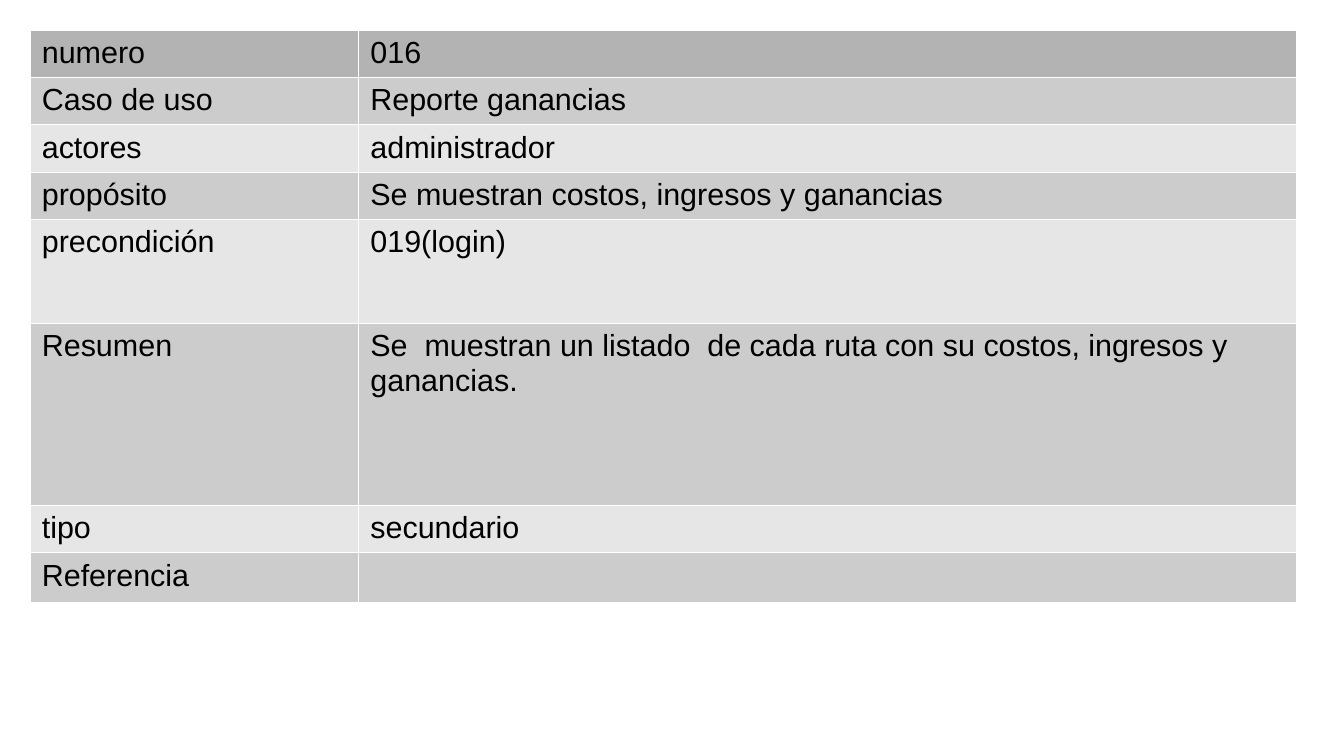
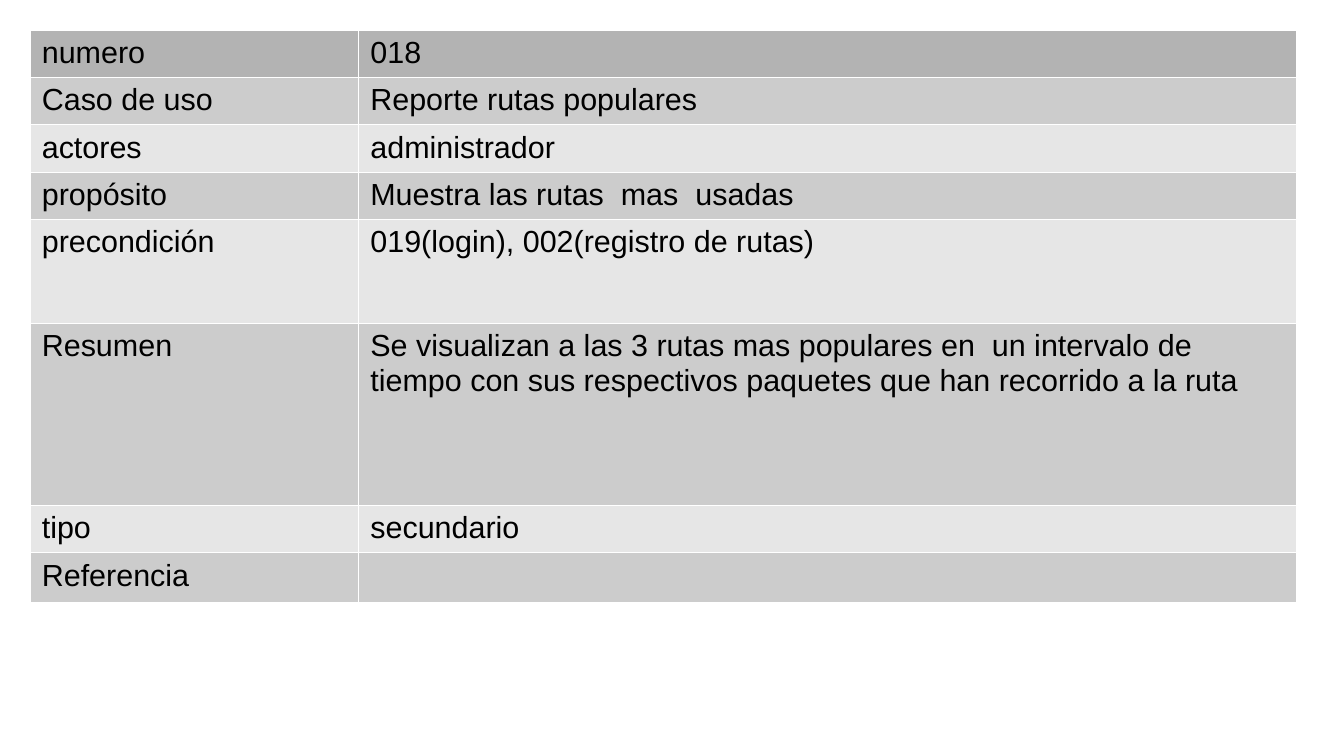
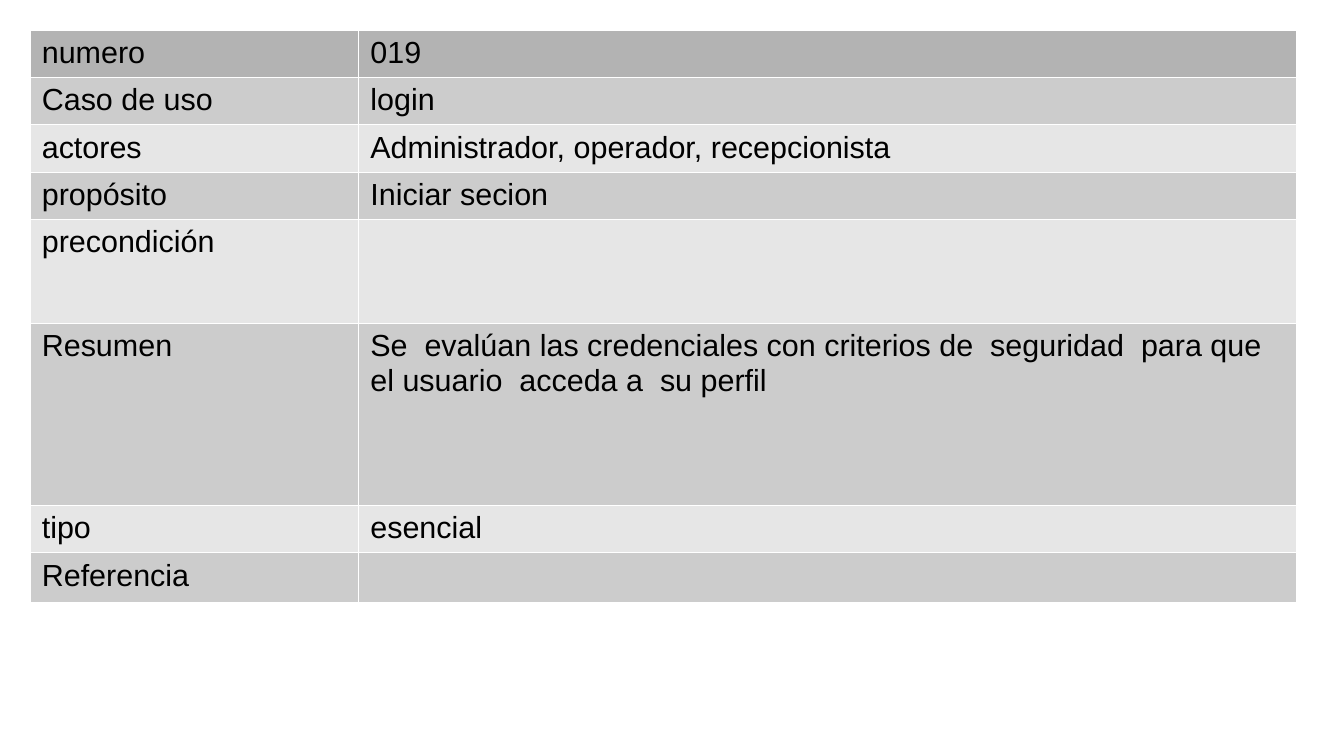
import dataclasses

import lxml.etree
import pptx
import pptx.dml.color
import pptx.oxml.ns
import pptx.slide
import pptx.table
import pptx.util

Pt = pptx.util.Pt
RGBColor = pptx.dml.color.RGBColor

HEADER_GRAY = RGBColor(0xB3, 0xB3, 0xB3)
BAND_GRAYS = (RGBColor(0xCC, 0xCC, 0xCC), RGBColor(0xE6, 0xE6, 0xE6))
BLACK = RGBColor(0x00, 0x00, 0x00)
WHITE = RGBColor(0xFF, 0xFF, 0xFF)

SLIDE_SIZE = (Pt(793.5), Pt(446.5))
TABLE_ORIGIN = (Pt(17.5), Pt(17.5))
COLUMN_WIDTHS = (Pt(194), Pt(554))
ROW_HEIGHT = Pt(28)
TALL_ROWS = {"precondición": Pt(61.5), "Resumen": Pt(107.5)}
BORDER_WIDTH = Pt(0.06)
TEXT_FORMAT = {"name": "Arial", "size": Pt(18), "bold": False}


@dataclasses.dataclass(frozen=True)
class UseCase:
    number: str
    name: str
    actors: str
    purpose: str
    precondition: str
    summary: str
    kind: str
    reference: str = ""


LABELS = ("numero", "Caso de uso", "actores", "propósito", "precondición",
          "Resumen", "tipo", "Referencia")

USE_CASES = (
    UseCase(
        "016", "Reporte ganancias", "administrador",
        "Se muestran costos, ingresos y ganancias", "019(login)",
        "Se  muestran un listado  de cada ruta con su costos, ingresos y ganancias.",
        "secundario"),
    UseCase(
        "018", "Reporte rutas populares", "administrador",
        "Muestra las rutas  mas  usadas", "019(login), 002(registro de rutas)",
        "Se visualizan a las 3 rutas mas populares en  un intervalo de tiempo "
        "con sus respectivos paquetes que han recorrido a la ruta",
        "secundario"),
    UseCase(
        "019", "login", "Administrador, operador, recepcionista",
        "Iniciar secion", "",
        "Se  evalúan las credenciales con criterios de  seguridad  para que "
        "el usuario  acceda a  su perfil",
        "esencial"),
)


def add_borders(cell: pptx.table._Cell) -> None:
    """Draw a thin white line on all four sides; call before filling the cell."""
    qn = pptx.oxml.ns.qn
    properties = cell._tc.get_or_add_tcPr()
    for side in ("a:lnL", "a:lnR", "a:lnT", "a:lnB"):
        line = lxml.etree.SubElement(properties, qn(side), w=str(BORDER_WIDTH))
        fill = lxml.etree.SubElement(line, qn("a:solidFill"))
        lxml.etree.SubElement(fill, qn("a:srgbClr"), val=str(WHITE))


def fill_cell(cell: pptx.table._Cell, text: str, color: RGBColor) -> None:
    add_borders(cell)
    cell.fill.solid()
    cell.fill.fore_color.rgb = color
    if not text:
        return
    span = cell.text_frame.paragraphs[0].add_run()
    span.text = text
    for attribute, value in TEXT_FORMAT.items():
        setattr(span.font, attribute, value)
    span.font.color.rgb = BLACK


def add_use_case_table(page: pptx.slide.Slide, use_case: UseCase) -> None:
    heights = [TALL_ROWS.get(label, ROW_HEIGHT) for label in LABELS]
    table = page.shapes.add_table(
        len(LABELS), len(COLUMN_WIDTHS), *TABLE_ORIGIN,
        sum(COLUMN_WIDTHS), sum(heights)).table
    table.first_row = False
    table.horz_banding = False
    for column, width in zip(table.columns, COLUMN_WIDTHS):
        column.width = width
    rows = zip(table.rows, heights, LABELS, dataclasses.astuple(use_case))
    for index, (row, height, label, value) in enumerate(rows):
        row.height = height
        color = BAND_GRAYS[(index - 1) % 2] if index else HEADER_GRAY
        for cell, text in zip(row.cells, (label, value)):
            fill_cell(cell, text, color)


def main() -> None:
    deck = pptx.Presentation()
    deck.slide_width, deck.slide_height = SLIDE_SIZE
    blank_layout = deck.slide_layouts.get_by_name("Blank")
    for use_case in USE_CASES:
        add_use_case_table(deck.slides.add_slide(blank_layout), use_case)
    deck.save("out.pptx")


if __name__ == "__main__":
    main()
